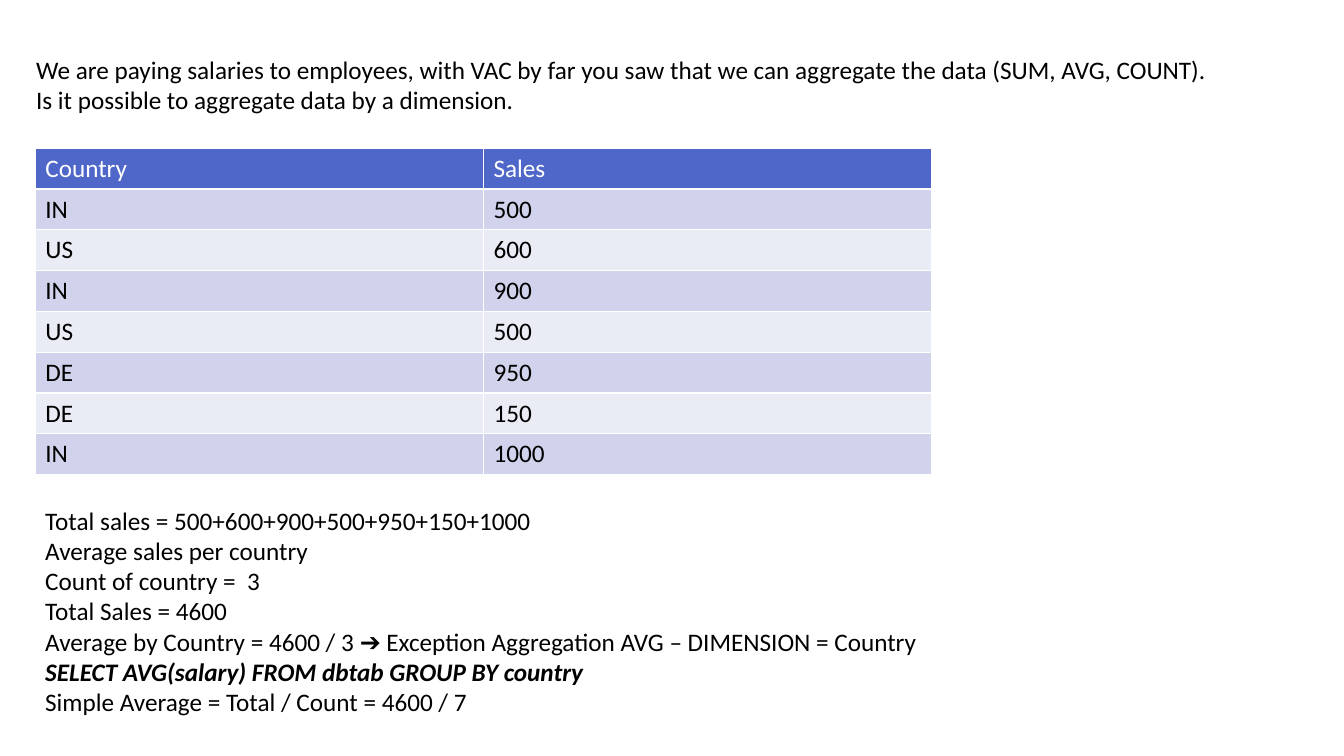
from pptx import Presentation
from pptx.dml.color import RGBColor
from pptx.util import Inches, Pt

INTRO = [
    "We are paying salaries to employees, with VAC by far you saw that we can aggregate the data (SUM, AVG, COUNT).",
    "Is it possible to aggregate data by a dimension.",
]
SALES = [
    ("Country", "Sales"),
    ("IN", "500"),
    ("US", "600"),
    ("IN", "900"),
    ("US", "500"),
    ("DE", "950"),
    ("DE", "150"),
    ("IN", "1000"),
]
QUERY = "SELECT AVG(salary) FROM dbtab GROUP BY country"
NOTES = [
    "Total sales = 500+600+900+500+950+150+1000",
    "Average sales per country",
    "Count of country =  3",
    "Total Sales = 4600",
    "Average by Country = 4600 / 3 ➔ Exception Aggregation AVG – DIMENSION = Country",
    QUERY,
    "Simple Average = Total / Count = 4600 / 7",
]
HEAD, BANDS = "4E67C8", ("E9EBF5", "D0D3EB")
WIDTH, ROW = 8.89, 0.405


def color(code):
    return RGBColor.from_string(code)


def write(para, text, size=18, ink="000000", strong=False):
    run = para.add_run()
    run.text = text
    font = run.font
    font.name, font.size = "Calibri", Pt(size)
    font.bold = font.italic = strong
    font.color.rgb = color(ink)


def add_text(slide, lines, left, top, width, height):
    box = slide.shapes.add_textbox(*map(Inches, (left, top, width, height)))
    frame = box.text_frame
    frame.word_wrap = True
    for i, line in enumerate(lines):
        para = frame.add_paragraph() if i else frame.paragraphs[0]
        write(para, line, strong=line == QUERY)


def add_sales(slide, left, top):
    count, cols = len(SALES), len(SALES[0])
    place = map(Inches, (left, top, WIDTH, ROW * count))
    table = slide.shapes.add_table(count, cols, *place).table
    for col in table.columns:
        col.width = Inches(WIDTH / cols)
    for r, row in enumerate(SALES):
        table.rows[r].height = Inches(ROW)
        for c, text in enumerate(row):
            cell = table.cell(r, c)
            cell.fill.solid()
            cell.fill.fore_color.rgb = color(BANDS[r % 2] if r else HEAD)
            write(cell.text_frame.paragraphs[0], text, ink="000000" if r else "FFFFFF")


def main():
    deck = Presentation()
    deck.slide_width, deck.slide_height = Inches(13.33), Inches(7.5)
    slide = deck.slides.add_slide(deck.slide_layouts[6])
    add_text(slide, INTRO, 0.26, 0.49, 12.58, 0.71)
    add_sales(slide, 0.35, 1.47)
    add_text(slide, NOTES, 0.35, 4.96, 11.04, 2.22)
    deck.save("out.pptx")


if __name__ == "__main__":
    main()
